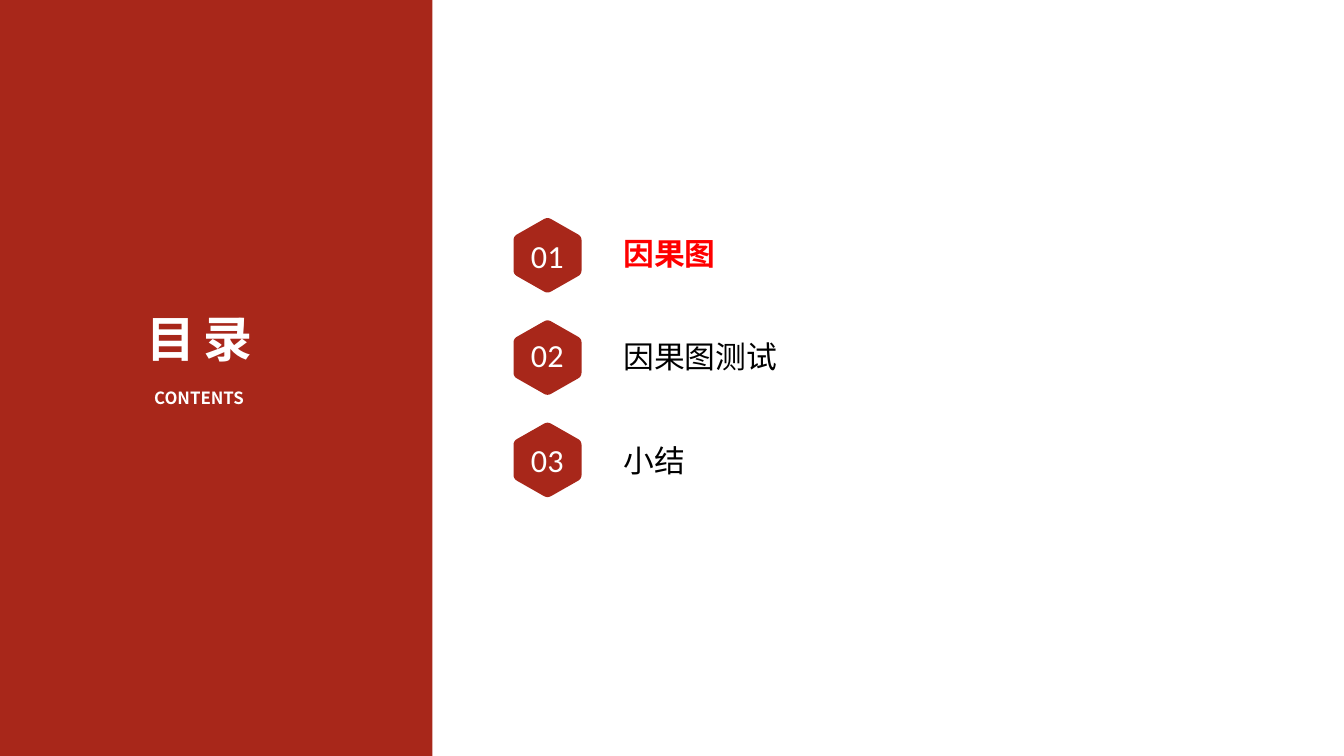
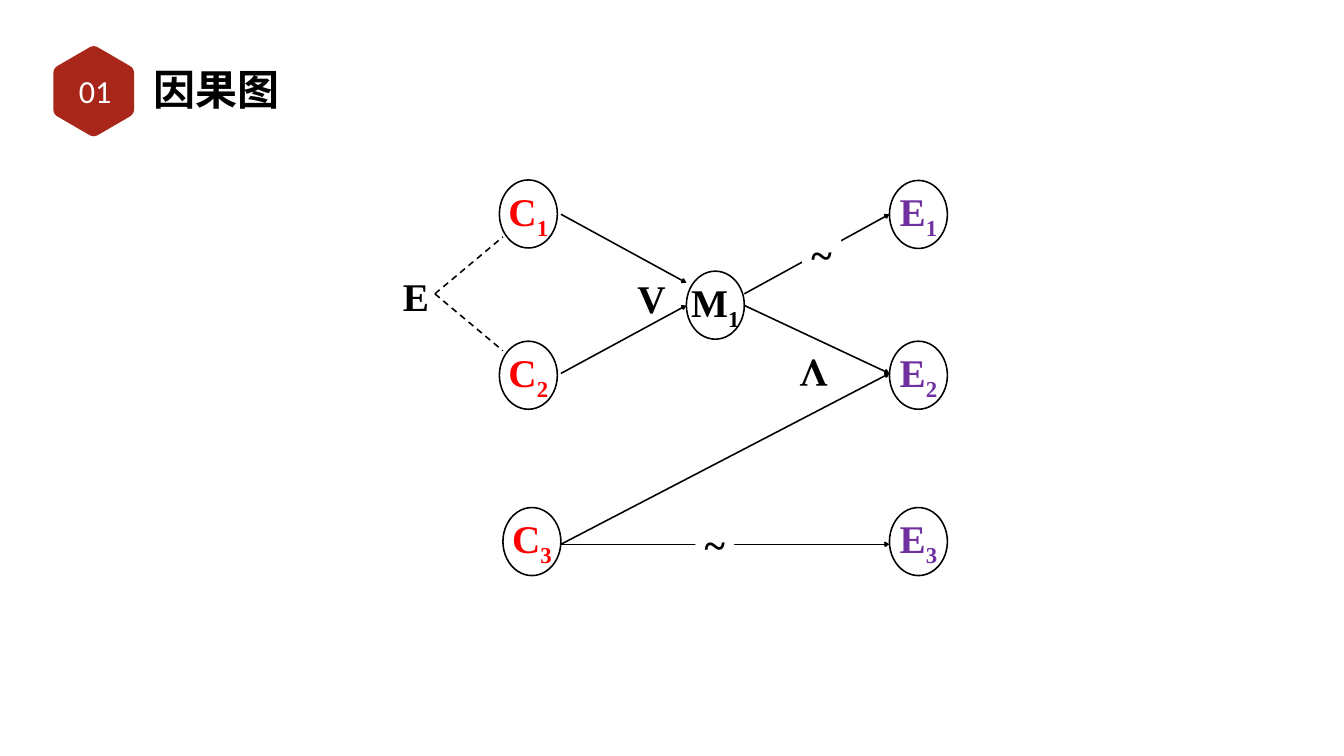
from dataclasses import dataclass
from lxml.etree import SubElement
from pptx import Presentation
from pptx.dml.color import RGBColor as RGB
from pptx.enum.dml import MSO_LINE as Dash
from pptx.enum.shapes import MSO_CONNECTOR as Conn, MSO_SHAPE as Shape
from pptx.enum.text import MSO_ANCHOR as Anchor, MSO_AUTO_SIZE as Auto, PP_ALIGN as Align
from pptx.oxml.ns import qn
from pptx.util import Inches, Pt


@dataclass(frozen=True)
class Theme:
    """Colours, fonts and type sizes of the deck."""
    brand: str = "A8271A"
    white: str = "FFFFFF"
    ink: str = "000000"
    hot: str = "FF0000"
    effect: str = "7030A0"
    sans: str = "Noto Sans CJK SC"
    digit: str = "Calibri"
    serif: str = "Times New Roman"
    cover: int = 70
    title: int = 60
    node: int = 56
    number: int = 46
    item: int = 44
    small: int = 24
    line: float = 2.25


T = Theme()


def style(run, size, color, face, bold=False):
    """Set the font of one run."""
    font = run.font
    font.size, font.bold = Pt(size), bold
    font.color.rgb = RGB.from_string(color)
    font.name = face
    SubElement(run._r.get_or_add_rPr(), qn("a:ea")).set("typeface", face)


def write(shape, text, size, color, face, bold=False, align=Align.LEFT,
          anchor=Anchor.TOP, inset=0.05):
    """Fill a shape with one styled line of text."""
    frame = shape.text_frame
    frame.text = text
    frame.word_wrap, frame.auto_size = True, Auto.NONE
    frame.vertical_anchor = anchor
    frame.margin_left = frame.margin_right = Inches(inset)
    frame.margin_top = frame.margin_bottom = Inches(inset)
    para = frame.paragraphs[0]
    para.alignment = align
    for run in para.runs:
        style(run, size, color, face, bold)
    return frame


def label(slide, box, *args, **opts):
    """Add a text box with one styled line."""
    shape = slide.shapes.add_textbox(*map(Inches, box))
    write(shape, *args, **opts)
    return shape


def paint(shape, fill, line=None):
    """Give a shape a flat fill and an optional outline."""
    shape.shadow.inherit = False
    shape.fill.solid()
    shape.fill.fore_color.rgb = RGB.from_string(fill)
    if line:
        shape.line.color.rgb = RGB.from_string(line)
        shape.line.width = Pt(T.line)
    else:
        shape.line.fill.background()


def head(slide, box, *args, **opts):
    """Place and format the title placeholder."""
    title = slide.shapes.title
    title.left, title.top, title.width, title.height = map(Inches, box)
    write(title, *args, **opts)
    return title


def badge(slide, box, text, spot):
    """Draw a rounded hexagon with its number at the given spot."""
    x, y, w, h = box
    hexa = [(0.5, -0.016), (1, 0.245), (1, 0.755),
            (0.5, 1.016), (0, 0.755), (0, 0.245)]
    cut, steps, dots = 0.107, 6, []
    for i, (px, py) in enumerate(hexa):
        (ax, ay), (bx, by) = hexa[i - 1], hexa[(i + 1) % 6]
        for k in range(steps + 1):
            t = k / steps
            a, b = cut * (1 - t) ** 2, cut * t ** 2
            u = px + a * (ax - px) + b * (bx - px)
            v = py + a * (ay - py) + b * (by - py)
            dots.append((Inches(x + w * u), Inches(y + h * v)))
    pen = slide.shapes.build_freeform(*dots[0])
    pen.add_line_segments(dots[1:], close=True)
    paint(pen.convert_to_shape(), T.brand)
    label(slide, (*spot, 1.74, 1.05), text, T.number, T.white, T.digit,
          align=Align.CENTER, anchor=Anchor.MIDDLE)


def panel(slide, box):
    """Draw the red side panel with the contents heading."""
    x, y, w, h = box
    band = slide.shapes.add_shape(Shape.RECTANGLE, *map(Inches, box))
    paint(band, T.brand)
    title = head(slide, (x + 1.12, y + 6.08, 5.68, 2.85), "目录", T.cover,
                 T.white, T.sans, True, Align.CENTER)
    run = title.text_frame.paragraphs[0].runs[0]
    run._r.get_or_add_rPr().set("spc", "1170")
    title.element.addprevious(band.element)
    label(slide, (x + 1.87, y + 7.64, 4.16, 0.99), "CONTENTS", T.small,
          T.white, T.sans, True, Align.CENTER)


def agenda(slide, x, y):
    """List the numbered chapters, with the current one lit."""
    items = [("因果图", 0.21, 0.27), ("因果图测试", 2.19, 2.33), ("小结", 4.27, 4.39)]
    for i, (text, num, top) in enumerate(items):
        now = i == 0
        badge(slide, (x, y + 2.03 * i, 1.35, 1.47), f"{i + 1:02}", (x - 0.2, y + num))
        label(slide, (x + 2.13, y + top, 5.03, 0.8), text, T.item,
              T.hot if now else T.ink, T.sans, now)


def node(slide, x, y, name, color):
    """Draw one graph node, a letter with a subscript digit."""
    oval = slide.shapes.add_shape(Shape.OVAL, *map(Inches, (x, y, 1.15, 1.35)))
    paint(oval, T.white, T.ink)
    frame = write(oval, name[0], T.node, color, T.serif, True,
                  Align.CENTER, Anchor.MIDDLE, 0.1)
    frame.word_wrap = False
    sub = frame.paragraphs[0].add_run()
    sub.text = name[1]
    style(sub, T.node, color, T.serif, True)
    sub._r.get_or_add_rPr().set("baseline", "-25000")


def link(slide, start, end, dash=False):
    """Draw an arrow, or a dashed line without a head."""
    line = slide.shapes.add_connector(Conn.STRAIGHT, *map(Inches, (*start, *end)))
    line.line.color.rgb = RGB.from_string(T.ink)
    line.line.width = Pt(T.line)
    if dash:
        line.line.dash_style = Dash.DASH
    else:
        SubElement(line.line._get_or_add_ln(), qn("a:tailEnd")).set("type", "arrow")
    SubElement(line.element.spPr, qn("a:effectLst"))


def sign(slide, box, text, fill=False, turn=0):
    """Write a logic sign, on white where it breaks a line."""
    mark = label(slide, box, text, T.node, T.ink, T.serif, True, Align.CENTER, inset=0.1)
    mark.text_frame.margin_top = mark.text_frame.margin_bottom = Inches(0.05)
    mark.rotation = turn
    if fill:
        mark.fill.solid()
        mark.fill.fore_color.rgb = RGB.from_string(T.white)


def graph(slide, x, y):
    """Draw the cause-effect graph from its top left corner."""
    nodes = [("C1", 2.04, 0, T.hot), ("C2", 2.04, 3.2, T.hot), ("C3", 2.11, 6.5, T.hot),
             ("M1", 5.75, 1.81, T.ink), ("E1", 9.78, 0.01, T.effect),
             ("E2", 9.78, 3.2, T.effect), ("E3", 9.78, 6.5, T.effect)]
    for name, dx, dy, color in nodes:
        node(slide, x + dx, y + dy, name, color)
    cause, mid, out, goal = (x + d for d in (3.26, 5.75, 6.9, 9.78))
    high, low, base = y + 0.68, y + 3.84, y + 7.23
    for start, end in [((cause, high), (mid, y + 2.04)), ((cause, low), (mid, y + 2.49)),
                       ((out, y + 2.26), (goal, high)), ((out, y + 2.49), (goal, low)),
                       ((cause, base), (goal, low)), ((cause, base), (goal, base))]:
        link(slide, start, end)
    sign(slide, (x + 4.68, y + 1.82, 0.64, 1.05), "V")
    sign(slide, (x + 7.89, y + 3.35, 0.77, 1.05), "V", turn=180)
    for dx, dy, text in [(5.93, 6.7, "~"), (8.05, 0.95, "~"), (0, 1.79, "E")]:
        sign(slide, (x + dx, y + dy, 0.77, 1.05), text, True)
    for dy in (-1.13, 1.13):
        link(slide, (x + 0.76, y + 2.26), (x + 2.11, y + 2.26 + dy), True)


def main():
    """Build and save the deck."""
    deck = Presentation()
    deck.slide_width, deck.slide_height = Inches(26.67), Inches(15)
    toc, topic = (deck.slides.add_slide(deck.slide_layouts[5]) for _ in range(2))
    panel(toc, (0, 0, 8.58, 15))
    agenda(toc, 10.19, 4.33)
    badge(topic, (1.06, 0.92, 1.6, 1.78), "01", (1.02, 1.27))
    head(topic, (2.99, 1.18, 6.02, 1.14), "因果图", T.title, T.ink, T.sans, True,
         anchor=Anchor.MIDDLE, inset=0.06)
    graph(topic, 7.87, 3.57)
    deck.save("out.pptx")


if __name__ == "__main__":
    main()
